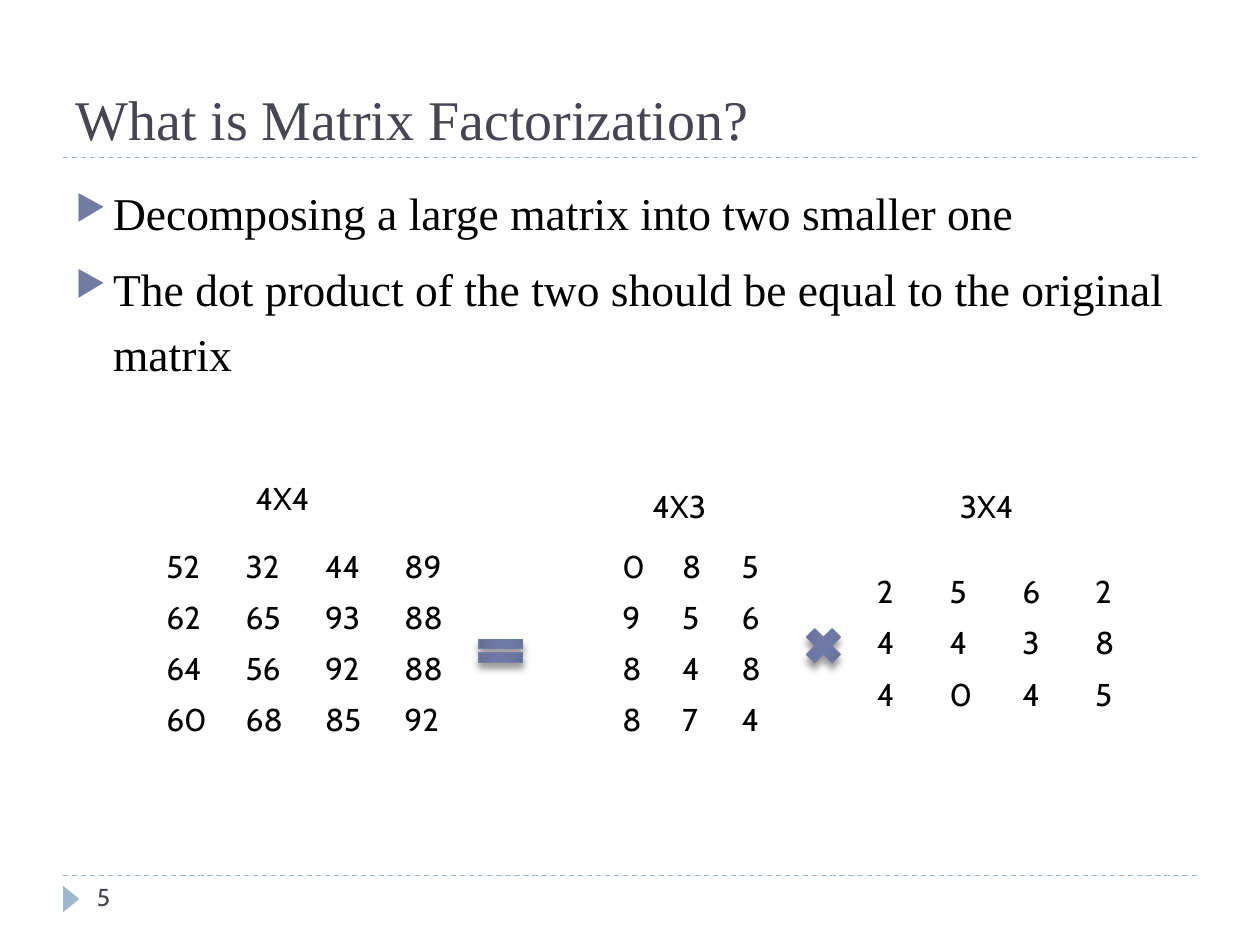
"""Build a slide that explains matrix factorization with three tables."""
from lxml import etree
from pptx import Presentation, util as u
from pptx.dml.color import RGBColor
from pptx.enum import dml, shapes, text
from pptx.oxml import parse_xml
from pptx.oxml.ns import qn

CELL = u.Inches(0.1)
BLACK = RGBColor(0x00, 0x00, 0x00)
SLATE = RGBColor(0x46, 0x46, 0x53)
BLUE = RGBColor(0x72, 0x7C, 0xA3)
PALE = RGBColor(0x9F, 0xB8, 0xCD)
EDGE = RGBColor(0x5D, 0x65, 0x85)
MID = RGBColor(0x6B, 0x75, 0x9E)
CORE = RGBColor(0x6E, 0x79, 0xA7)
STOPS = [(0, EDGE), (30, MID), (45, CORE), (55, CORE), (73, MID), (100, EDGE)]
SERIF, SANS = "Times New Roman", "Cabin"
NS = 'xmlns:a="http://schemas.openxmlformats.org/drawingml/2006/main"'

POINTS = [
    "Decomposing a large matrix into two smaller one",
    "The dot product of the two should be equal to the original matrix",
]
WHOLE = [[52, 32, 44, 89], [62, 65, 93, 88], [64, 56, 92, 88], [60, 68, 85, 92]]
LEFT = [[0, 8, 5], [9, 5, 6], [8, 4, 8], [8, 7, 4]]
RIGHT = [[2, 5, 6, 2], [4, 4, 3, 8], [4, 0, 4, 5]]


def span(*cells):
    return [round(n * CELL) for n in cells]


def style(frame, size, font, color):
    for para in frame.paragraphs:
        for run in para.runs:
            run.font.size = u.Pt(size)
            run.font.name = font
            run.font.color.rgb = color


def add_text(slide, area, words, size, font, color, anchor=text.MSO_ANCHOR.TOP):
    frame = slide.shapes.add_textbox(*span(*area)).text_frame
    frame.word_wrap = True
    frame.vertical_anchor = anchor
    frame.text = words
    style(frame, size, font, color)
    return frame


def add_list(slide, area, items):
    frame = add_text(slide, area, "\n".join(items), 26, SERIF, BLACK)
    for para in frame.paragraphs:
        para.line_spacing = 1.2
        para.space_before = u.Pt(6)
        props = para._p.get_or_add_pPr()
        props.set("marL", str(3 * CELL))
        props.set("indent", str(-3 * CELL))
        color = etree.SubElement(props, qn("a:buClr"))
        etree.SubElement(color, qn("a:srgbClr"), val=str(BLUE))
        etree.SubElement(props, qn("a:buSzPct"), val="76000")
        etree.SubElement(props, qn("a:buChar"), char="▶")


def add_rule(slide, row):
    ends = span(5, row, 95, row)
    rule = slide.shapes.add_connector(shapes.MSO_CONNECTOR.STRAIGHT, *ends)
    rule.line.color.rgb = PALE
    rule.line.width = u.Pt(0.75)
    rule.line.dash_style = dml.MSO_LINE.DASH
    etree.SubElement(rule._element.spPr, qn("a:effectLst"))


def add_mark(slide):
    kind = shapes.MSO_SHAPE.ISOSCELES_TRIANGLE
    mark = slide.shapes.add_shape(kind, *span(4.6, 70.7, 2.1, 1.3))
    mark.rotation = 90
    mark.shadow.inherit = False
    mark.fill.solid()
    mark.fill.fore_color.rgb = PALE
    mark.line.fill.background()


def add_sign(slide, kind, area):
    sign = slide.shapes.add_shape(kind, *span(*area))
    sign.line.color.rgb = BLUE
    sign.line.width = u.Pt(0.75)
    stops = "".join(
        f'<a:gs pos="{pos * 1000}"><a:srgbClr val="{color}"/></a:gs>'
        for pos, color in STOPS
    )
    props = sign._element.spPr
    props.insert(2, parse_xml(
        f'<a:gradFill {NS} rotWithShape="1"><a:gsLst>{stops}</a:gsLst>'
        '<a:lin ang="960000" scaled="0"/></a:gradFill>'
    ))
    props.append(parse_xml(
        f'<a:effectLst {NS}><a:outerShdw blurRad="{u.Pt(4)}" dist="{u.Pt(3.4)}"'
        ' dir="5400000" rotWithShape="0"><a:srgbClr val="000000">'
        '<a:alpha val="40000"/></a:srgbClr></a:outerShdw></a:effectLst>'
    ))


def add_grid(slide, left, top, wide, rows):
    area = span(left, top, wide, 4.06 * len(rows))
    grid = slide.shapes.add_table(len(rows), len(rows[0]), *area).table
    grid.first_row = grid.horz_banding = False
    for line, row in zip(rows, grid.rows):
        for value, cell in zip(line, row.cells):
            cell.fill.background()
            cell.text_frame.text = str(value)
            style(cell.text_frame, 18, SANS, BLACK)


def main():
    deck = Presentation()
    deck.slide_width, deck.slide_height = span(100, 75)
    slide = deck.slides.add_slide(deck.slide_layouts[6])
    for row in (69.5, 12.5):
        add_rule(slide, row)
    add_mark(slide)
    add_text(slide, (5, 1.7, 90, 10.8), "What is Matrix Factorization?",
             32, SERIF, SLATE, text.MSO_ANCHOR.BOTTOM)
    add_text(slide, (6.7, 69.5, 21.7, 4), "5", 14, SANS, SLATE)
    add_list(slide, (5, 13.3, 90, 23.4), POINTS)
    add_grid(slide, 12.2, 43, 25.2, WHOLE)
    add_grid(slide, 48.4, 43, 14.2, LEFT)
    add_grid(slide, 68.6, 45, 23.1, RIGHT)
    add_sign(slide, shapes.MSO_SHAPE.MATH_EQUAL, (37.4, 50.1, 4.7, 3.1))
    add_sign(slide, shapes.MSO_SHAPE.MATH_MULTIPLY, (63.4, 49.3, 3.9, 3.9))
    for left, top, size in [(19.3, 37.5, "4X4"), (50.8, 38.2, "4X3"), (75.2, 38.2, "3X4")]:
        add_text(slide, (left, top, 8.7, 4), size, 18, SANS, BLACK)
    deck.save("out.pptx")


if __name__ == "__main__":
    main()
